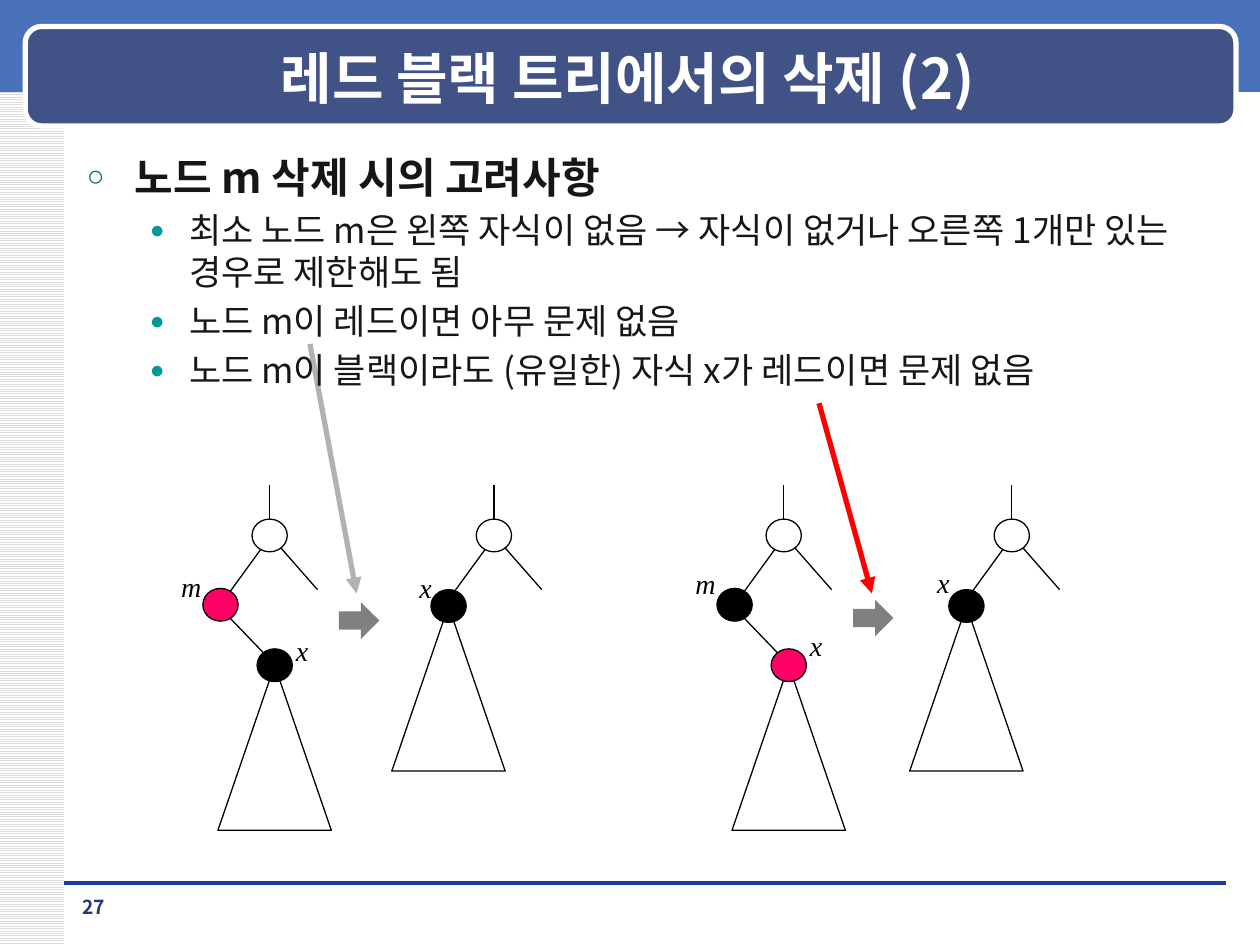
from lxml import etree
from pptx import Presentation
from pptx.dml.color import RGBColor
from pptx.enum.dml import MSO_PATTERN
from pptx.enum.shapes import MSO_CONNECTOR, MSO_SHAPE
from pptx.enum.text import MSO_ANCHOR, MSO_AUTO_SIZE, PP_ALIGN
from pptx.oxml.ns import qn
from pptx.util import Inches, Pt

RECT, ROUND = MSO_SHAPE.RECTANGLE, MSO_SHAPE.ROUNDED_RECTANGLE
OVAL, TRI = MSO_SHAPE.OVAL, MSO_SHAPE.ISOSCELES_TRIANGLE
ARROW = MSO_SHAPE.RIGHT_ARROW
LINE = MSO_CONNECTOR.STRAIGHT
CENTER, LEFT = PP_ALIGN.CENTER, PP_ALIGN.LEFT
SANS, SERIF = "Noto Sans CJK KR", "Times New Roman"
BLACK, WHITE, PINK = "000000", "FFFFFF", "FF0066"
WIDE, HIGH = 10, 7.5
NODE_W, NODE_H = 0.28, 0.26


def color(code):
    return RGBColor.from_string(code)


def add_sub(parent, tag, **attrs):
    return etree.SubElement(parent, qn(tag), attrs)


def place(shape, x, y, w, h):
    shape.left, shape.top = Inches(x), Inches(y)
    shape.width, shape.height = Inches(w), Inches(h)


def add_box(slide, kind, x, y, w, h, fill=None, line=None, width=0.75):
    shape = slide.shapes.add_shape(
        kind, Inches(x), Inches(y), Inches(w), Inches(h))
    shape.shadow.inherit = False
    if fill:
        shape.fill.solid()
        shape.fill.fore_color.rgb = color(fill)
    else:
        shape.fill.background()
    if line:
        shape.line.color.rgb = color(line)
        shape.line.width = Pt(width)
    else:
        shape.line.fill.background()
    return shape


def add_line(slide, x1, y1, x2, y2, code=BLACK, width=0.75, head=False):
    line = slide.shapes.add_connector(
        LINE, Inches(x1), Inches(y1), Inches(x2), Inches(y2))
    line.line.color.rgb = color(code)
    line.line.width = Pt(width)
    if head:
        add_sub(line.line._get_or_add_ln(), "a:tailEnd", type="triangle")
    add_sub(line._element.spPr, "a:effectLst")
    return line


def style(para, face, size, code, bold=False, italic=False):
    font = para.font
    font.name, font.size = face, Pt(size)
    font.bold, font.italic = bold, italic
    font.color.rgb = color(code)
    add_sub(para._p.pPr.find(qn("a:defRPr")), "a:ea", typeface=face)


def add_text(slide, text, x, y, w, h, align, *look, **more):
    box = slide.shapes.add_textbox(
        Inches(x), Inches(y), Inches(w), Inches(h))
    box.text_frame.word_wrap = True
    para = box.text_frame.paragraphs[0]
    para.text, para.alignment = text, align
    style(para, *look, **more)


def add_label(slide, text, x, y):
    add_text(slide, text, x, y, 0.3, 0.37, LEFT, SERIF, 16, BLACK,
             italic=True)


def add_frame(slide):
    """Side strip, top band, banner, footer rule and page number."""
    side = 0.51
    strip = add_box(slide, RECT, 0, 0, side, HIGH)
    strip.fill.patterned()
    strip.fill.pattern = MSO_PATTERN.LIGHT_HORIZONTAL
    strip.fill.fore_color.rgb = color("DDDDDD")
    strip.fill.back_color.rgb = color(WHITE)
    add_box(slide, RECT, 0, -0.03, WIDE, 0.76, "4972BB")
    add_line(slide, side, 7.01, 9.73, 7.01, "1A3D97", 0)
    add_box(slide, ROUND, 0.2, 0.21, 9.61, 0.79, "405286", WHITE, 3)
    add_text(slide, "27", side, 7.06, 0.47, 0.27, CENTER,
             SANS, 11, "23387D", bold=True)


def set_title(slide, text, *box):
    title = slide.shapes.title
    slide.shapes._spTree.append(title._element)
    place(title, *box)
    frame = title.text_frame
    frame.text = text
    frame.auto_size = MSO_AUTO_SIZE.NONE
    frame.vertical_anchor = MSO_ANCHOR.MIDDLE
    frame.paragraphs[0].alignment = CENTER
    style(frame.paragraphs[0], SANS, 32, WHITE, bold=True)


def set_list(slide, items, *box):
    body = slide.placeholders[1]
    slide.shapes._spTree.append(body._element)
    place(body, *box)
    frame = body.text_frame
    frame.text = "\n".join(items)
    frame.auto_size = MSO_AUTO_SIZE.NONE
    looks = [(0.38, -0.38, "○", "006666", 24),
             (0.81, -0.31, "●", "009999", 20)]
    for i, para in enumerate(frame.paragraphs):
        para.level = min(i, 1)
        left, first, mark, code, size = looks[para.level]
        para.space_before = Pt(4 * para.level)
        props = para._p.get_or_add_pPr()
        props.set("marL", str(Inches(left)))
        props.set("indent", str(Inches(first)))
        add_sub(add_sub(props, "a:buClr"), "a:srgbClr", val=code)
        add_sub(props, "a:buSzPct", val="70000")
        add_sub(props, "a:buChar", char=mark)
        style(para, SANS, size, "161616", bold=i == 0)


def add_node(slide, x, y, fill):
    return add_box(slide, OVAL, x - NODE_W / 2, y - NODE_H / 2,
                   NODE_W, NODE_H, fill, BLACK)


def add_root(slide, x, y):
    """Parent node centred on x, y with its stem and two branches."""
    root = add_node(slide, x, y, WHITE)
    stem = add_line(slide, x, y - 0.4, x, y - NODE_H / 2)
    stem.end_connect(root, 0)
    add_line(slide, x - 0.07, y + 0.11, x - 0.31, y + 0.44)
    add_line(slide, x + 0.09, y + 0.1, x + 0.38, y + 0.43)


def add_subtree(slide, x, y, fill):
    """Node x on top of the triangle below it."""
    add_box(slide, TRI, x - 0.45, y, 0.9, 1.31, None, BLACK)
    add_node(slide, x, y, fill)


def add_case(slide, x, y, gap, m_fill, x_fill, lift):
    """Tree before deletion at x, y; tree after it at a gap to the right."""
    # Before: m hangs from the root and x from m
    add_root(slide, x, y)
    add_line(slide, x - 0.31, y + 0.66, x - 0.05, y + 0.93)
    add_node(slide, x - 0.39, y + 0.55, m_fill)
    add_subtree(slide, x + 0.04, y + 1.03, x_fill)
    add_label(slide, "m", x - 0.8, y + 0.22 - lift / 2)
    add_label(slide, "x", x + 0.11, y + 0.73 - lift)
    # Step arrow
    add_box(slide, ARROW, x + 0.55, y + 0.53 - lift / 2, 0.32, 0.29,
            "808080")
    # After: x takes the place of m
    end = x + gap
    add_root(slide, end, y)
    add_subtree(slide, end - 0.36, y + 0.56, BLACK)
    add_label(slide, "x", end - 0.69, y + 0.23 - lift)


def main():
    prs = Presentation()
    prs.slide_width, prs.slide_height = Inches(WIDE), Inches(HIGH)
    slide = prs.slides.add_slide(prs.slide_layouts[1])
    add_frame(slide)
    add_line(slide, 2.46, 2.73, 2.83, 4.71, "B2B2B2", 3, head=True)
    set_title(slide, "레드 블랙 트리에서의 삭제 (2)", 0.71, 0.3, 8.54, 0.62)
    set_list(slide, [
        "노드 m 삭제 시의 고려사항",
        "최소 노드 m은 왼쪽 자식이 없음 → 자식이 없거나 오른쪽 1개만 "
        "있는 경우로 제한해도 됨",
        "노드 m이 레드이면 아무 문제 없음",
        "노드 m이 블랙이라도 (유일한) 자식 x가 레드이면 문제 없음",
    ], 0.59, 1.15, 8.9, 5.75)
    # Red m on the left, black m with red x on the right
    add_case(slide, 2.14, 4.25, 1.78, PINK, BLACK, 0)
    add_case(slide, 6.22, 4.25, 1.81, BLACK, PINK, 0.04)
    add_line(slide, 6.5, 3.2, 6.92, 4.71, "FF0000", 3, head=True)
    prs.save("out.pptx")


if __name__ == "__main__":
    main()
